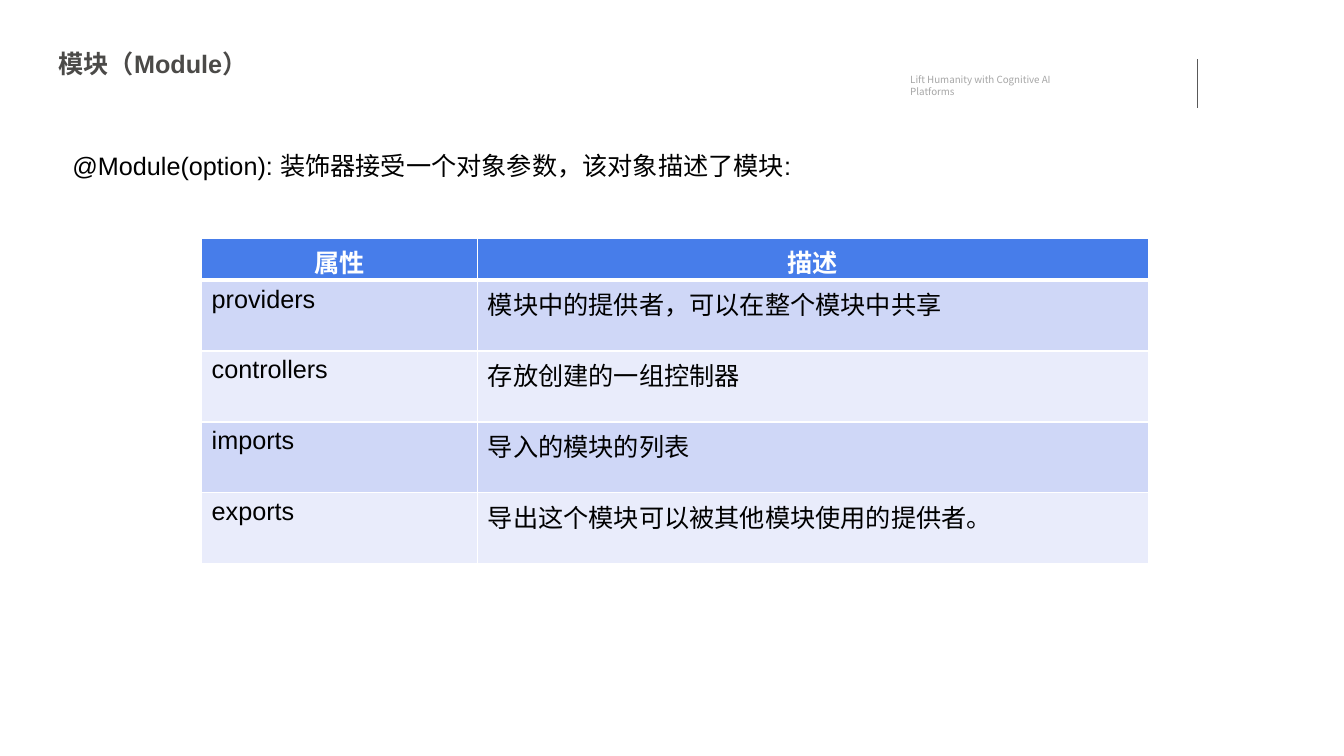
"""Build the slide on the options of the Module decorator."""
from lxml import etree
from pptx import Presentation
from pptx.dml.color import RGBColor
from pptx.enum.shapes import MSO_CONNECTOR
from pptx.enum.text import MSO_ANCHOR, MSO_AUTO_SIZE, PP_ALIGN
from pptx.oxml import parse_xml
from pptx.oxml.ns import nsdecls, qn
from pptx.util import Pt

STRAIGHT = MSO_CONNECTOR.STRAIGHT
BOTTOM = MSO_ANCHOR.BOTTOM
NO_FIT = MSO_AUTO_SIZE.NONE
LEFT, CENTER = PP_ALIGN.LEFT, PP_ALIGN.CENTER

ROWS = [
    ("属性", "描述"),
    ("providers", "模块中的提供者，可以在整个模块中共享"),
    ("controllers", "存放创建的一组控制器"),
    ("imports", "导入的模块的列表"),
    ("exports", "导出这个模块可以被其他模块使用的提供者。"),
]
COL_WIDTHS = (197.3, 478.8)
HEADER_HEIGHT, ROW_HEIGHT = 30.2, 50.6
HEADER_FILL, BANDS = "477DEA", ("E9ECFB", "CFD7F7")


def rgb(value):
    return RGBColor.from_string(value)


def write(tf, text, size, color, bold=False, align=LEFT, face="Arial"):
    p = tf.paragraphs[0]
    p.text = text
    p.alignment = align
    p.font.size = Pt(size)
    p.font.name = face
    p.font.bold = bold
    p.font.color.rgb = rgb(color)
    return p


prs = Presentation()
prs.slide_width, prs.slide_height = Pt(960), Pt(540)
s = prs.slides.add_slide(prs.slide_layouts[5])

slogan = s.shapes.add_textbox(Pt(650.2), Pt(52.6), Pt(120.2), Pt(8.6))
tf = slogan.text_frame
tf.word_wrap = True
tf.margin_left = tf.margin_right = tf.margin_top = tf.margin_bottom = 0
write(tf, "Lift Humanity with Cognitive AI Platforms", 7, "A6A6A6",
      face="Noto Sans CJK SC")

rule = s.shapes.add_connector(STRAIGHT, Pt(855.4), Pt(42.5), Pt(855.4), Pt(77))
rule.line.color.rgb = rgb("595959")
rule.line.width = Pt(0.5)
etree.SubElement(rule.element.spPr, qn("a:effectLst"))

title = s.shapes.title
title.left, title.top, title.width, title.height = Pt(34.6), Pt(31), Pt(613.4), Pt(28.8)
tf = title.text_frame
tf.auto_size = NO_FIT
tf.vertical_anchor = BOTTOM
p = write(tf, "模块（Module）", 18, "4B4A48", bold=True)
p.line_spacing = 0.9

intro = s.shapes.add_textbox(Pt(44.6), Pt(103.7), Pt(627.1), Pt(51.1))
tf = intro.text_frame
tf.word_wrap = True
write(tf, "@Module(option): 装饰器接受一个对象参数，该对象描述了模块:", 18, "000000")

heights = [HEADER_HEIGHT] + [ROW_HEIGHT] * (len(ROWS) - 1)
table = s.shapes.add_table(len(ROWS), len(COL_WIDTHS), Pt(144), Pt(170),
                           Pt(sum(COL_WIDTHS)), Pt(sum(heights))).table
for column, width in zip(table.columns, COL_WIDTHS):
    column.width = Pt(width)
for i, (texts, height) in enumerate(zip(ROWS, heights)):
    header = i == 0
    table.rows[i].height = Pt(height)
    borders = {"lnL": 1, "lnR": 1, "lnT": 3 if i == 1 else 1, "lnB": 3 if header else 1}
    for j, text in enumerate(texts):
        cell = table.cell(i, j)
        cell.fill.solid()
        cell.fill.fore_color.rgb = rgb(HEADER_FILL if header else BANDS[i % 2])
        write(cell.text_frame, text, 18, "FFFFFF" if header else "000000",
              bold=header, align=CENTER if header else LEFT)
        tcPr = cell._tc.get_or_add_tcPr()
        for k, (side, width) in enumerate(borders.items()):
            tcPr.insert(k, parse_xml(
                f'<a:{side} {nsdecls("a")} w="{Pt(width)}"><a:solidFill>'
                f'<a:srgbClr val="FFFFFF"/></a:solidFill></a:{side}>'))

prs.save("out.pptx")
